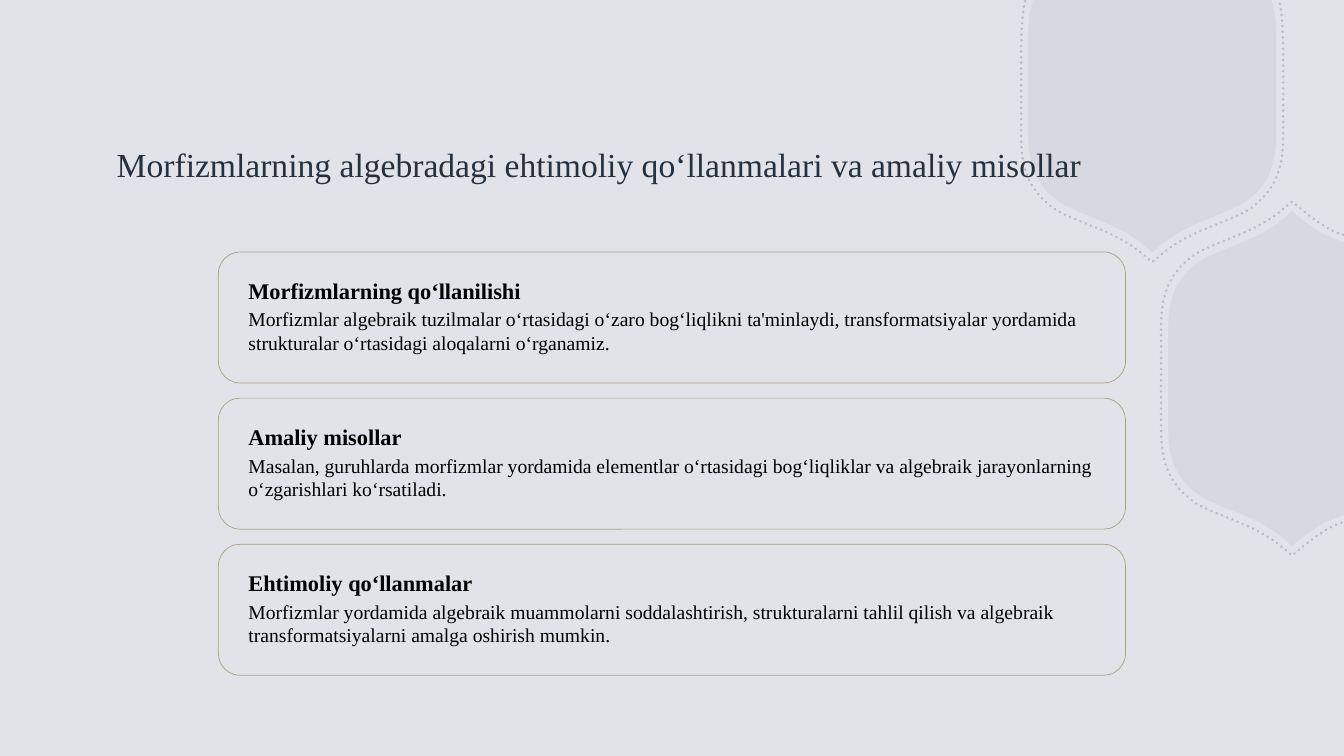
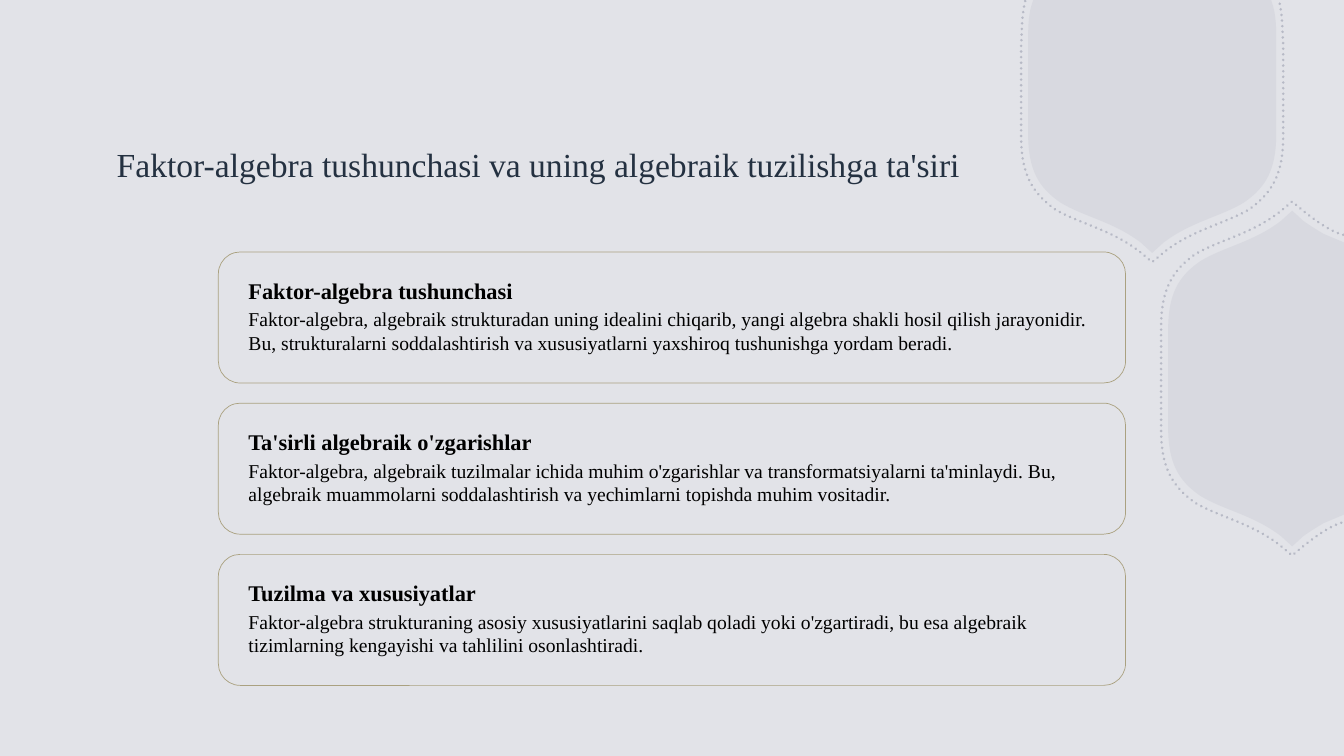
from pptx import Presentation
from pptx.dml.color import RGBColor
from pptx.enum.dml import MSO_LINE
from pptx.enum.shapes import MSO_SHAPE
from pptx.enum.text import MSO_ANCHOR as Anchor, MSO_AUTO_SIZE as AutoSize
from pptx.oxml.ns import qn
from pptx.util import Pt
from lxml import etree

FONT = "Times New Roman"
BACKGROUND, SHIELD, TITLE, TEXT, BORDER = "E2E3E8", "A2A5B5", "243141", "000000", "AAA180"

# Shield outlines, measured from the centre: the lower right quarter runs from
# the bottom tip through a line (L) and two curves (C); the ends meet the slide edges
TOP_CENTER, SIDE_CENTER = (823, 60.8), (923, 270.4)
FILLED = [(0, 119.9), (7.9, 112.7), (27.4, 97.6), (49, 94), (65.5, 83.9),
          (81.4, 73.1), (88.6, 60.1), (88.6, 34.9)]
FILLED_TOP_END = [(88.6, -34.9), (88.6, -44.3), (87.9, -52.2), (85.7, -58.6), (85, -60.8)]
FILLED_SIDE_END = [(7.9, 112.7), (13, 109), (18, 106), (22.3, 103.4), (37, 97.2)]
DOTTED = [(0, 126.4), (8.6, 119.2), (28.8, 103.3), (51.8, 99), (69.1, 88.9),
          (85.7, 77), (93.6, 63.7), (93.6, 36.4)]
DOTTED_TOP_END = [(93.6, -29.1), (92.8, -39.2), (93.6, -47.1), (90.7, -60.1)]
DOTTED_SIDE_END = [(8.6, 119.2), (14.4, 114.8), (26, 105.4), (36.5, 102.6)]

# Cards
CARD_LEFT, CARD_TOP, CARD_WIDTH, CARD_HEIGHT = 156, 180, 648, 93.6
PADDING = 14.4

# Each slide: title, distance between card tops, cards
SLIDES = [
    ("Morfizmlarning algebradagi ehtimoliy qo‘llanmalari va amaliy misollar", 104.4, [
        ("Morfizmlarning qo‘llanilishi",
         "Morfizmlar algebraik tuzilmalar o‘rtasidagi o‘zaro bog‘liqlikni ta'minlaydi, "
         "transformatsiyalar yordamida strukturalar o‘rtasidagi aloqalarni o‘rganamiz."),
        ("Amaliy misollar",
         "Masalan, guruhlarda morfizmlar yordamida elementlar o‘rtasidagi bog‘liqliklar "
         "va algebraik jarayonlarning o‘zgarishlari ko‘rsatiladi."),
        ("Ehtimoliy qo‘llanmalar",
         "Morfizmlar yordamida algebraik muammolarni soddalashtirish, strukturalarni tahlil "
         "qilish va algebraik transformatsiyalarni amalga oshirish mumkin."),
    ]),
    ("Faktor-algebra tushunchasi va uning algebraik tuzilishga ta'siri", 108, [
        ("Faktor-algebra tushunchasi",
         "Faktor-algebra, algebraik strukturadan uning idealini chiqarib, yangi algebra shakli "
         "hosil qilish jarayonidir. Bu, strukturalarni soddalashtirish va xususiyatlarni "
         "yaxshiroq tushunishga yordam beradi."),
        ("Ta'sirli algebraik o'zgarishlar",
         "Faktor-algebra, algebraik tuzilmalar ichida muhim o'zgarishlar va "
         "transformatsiyalarni ta'minlaydi. Bu, algebraik muammolarni soddalashtirish va "
         "yechimlarni topishda muhim vositadir."),
        ("Tuzilma va xususiyatlar",
         "Faktor-algebra strukturaning asosiy xususiyatlarini saqlab qoladi yoki "
         "o'zgartiradi, bu esa algebraik tizimlarning kengayishi va tahlilini "
         "osonlashtiradi."),
    ]),
]


def color(value):
    return RGBColor.from_string(value)


def add_text(slide, text, left, top, width, height, size, font_color, bold=False):
    box = slide.shapes.add_textbox(Pt(left), Pt(top), Pt(width), Pt(height))
    box.text_frame.word_wrap = True
    paragraph = box.text_frame.paragraphs[0]
    paragraph.text = text
    paragraph.font.name = FONT
    paragraph.font.size = Pt(size)
    paragraph.font.bold = bold
    paragraph.font.color.rgb = color(font_color)
    return box.text_frame


presentation = Presentation()
presentation.slide_width, presentation.slide_height = Pt(960), Pt(540)
layout = presentation.slide_layouts[6]
layout.background.fill.solid()
layout.background.fill.fore_color.rgb = color(BACKGROUND)
slides = [presentation.slides.add_slide(layout) for _ in SLIDES]

# Shields, shared through the layout: filled ones behind dotted outlines
for quarter, top_end, side_end, filled in ((FILLED, FILLED_TOP_END, FILLED_SIDE_END, True),
                                           (DOTTED, DOTTED_TOP_END, DOTTED_SIDE_END, False)):
    tail = "LCL" if filled else "LC"
    side_half = [(-quarter[-1][0], 0)] + [(-x, y) for x, y in reversed(quarter)] + side_end
    for center, half, kinds, mirror in (
            (TOP_CENTER, quarter + top_end, "LCC" + tail, (-1, 1)),
            (SIDE_CENTER, side_half, "LCCL" + tail, (1, -1))):
        # Mirror the half; both halves share its first point
        mirrored = [(x * mirror[0], y * mirror[1]) for x, y in reversed(half)]
        points = [(Pt(center[0] + x), Pt(center[1] + y)) for x, y in mirrored + half[1:]]
        builder = slides[0].shapes.build_freeform(*points[0])
        builder.add_line_segments(points[1:], close=filled)
        shape = builder.convert_to_shape()

        # Join three points into one Bézier curve wherever the kind is C
        segments = iter(shape.element.findall(".//" + qn("a:lnTo")))
        for kind in kinds[::-1] + kinds:
            segment = next(segments)
            if kind == "C":
                curve = etree.Element(qn("a:cubicBezTo"))
                segment.addprevious(curve)
                for part in (segment, next(segments), next(segments)):
                    curve.append(part[0])
                    part.getparent().remove(part)

        shape.shadow.inherit = False
        if filled:
            shape.fill.solid()
            paint, opacity = shape.fill, 15
            shape.line.fill.background()
        else:
            shape.fill.background()
            shape.line.width = Pt(2)
            shape.line.dash_style = MSO_LINE.ROUND_DOT
            shape.line.fill.solid()
            paint, opacity = shape.line.fill, 65
            shape.element.spPr.find(qn("a:ln")).set("cap", "rnd")
        paint.fore_color.rgb = color(SHIELD)
        for element in shape.element.spPr.iter(qn("a:srgbClr")):
            etree.SubElement(element, qn("a:alpha")).set("val", str(opacity * 1000))
        layout.shapes.element.append(shape.element)

for slide, (title, card_step, cards) in zip(slides, SLIDES):
    # Title
    title_frame = add_text(slide, title, 76.32, 75.6, 714.96, 83.52, 24, TITLE)
    title_frame.vertical_anchor = Anchor.MIDDLE

    # Cards
    for index, (heading, body) in enumerate(cards):
        top = CARD_TOP + index * card_step
        card = slide.shapes.add_shape(MSO_SHAPE.ROUNDED_RECTANGLE, Pt(CARD_LEFT), Pt(top),
                                      Pt(CARD_WIDTH), Pt(CARD_HEIGHT))
        card.shadow.inherit = False
        card.fill.background()
        card.line.color.rgb = color(BORDER)
        card.line.width = Pt(0.5)
        for text, offset, height, size, bold in ((heading, PADDING, 21.6, 16, True),
                                                 (body, PADDING + 21.6, 57.6, 14, False)):
            frame = add_text(slide, text, CARD_LEFT + PADDING, top + offset,
                             CARD_WIDTH - 2 * PADDING, height, size, TEXT, bold)
            frame.auto_size = AutoSize.SHAPE_TO_FIT_TEXT

presentation.save("out.pptx")
